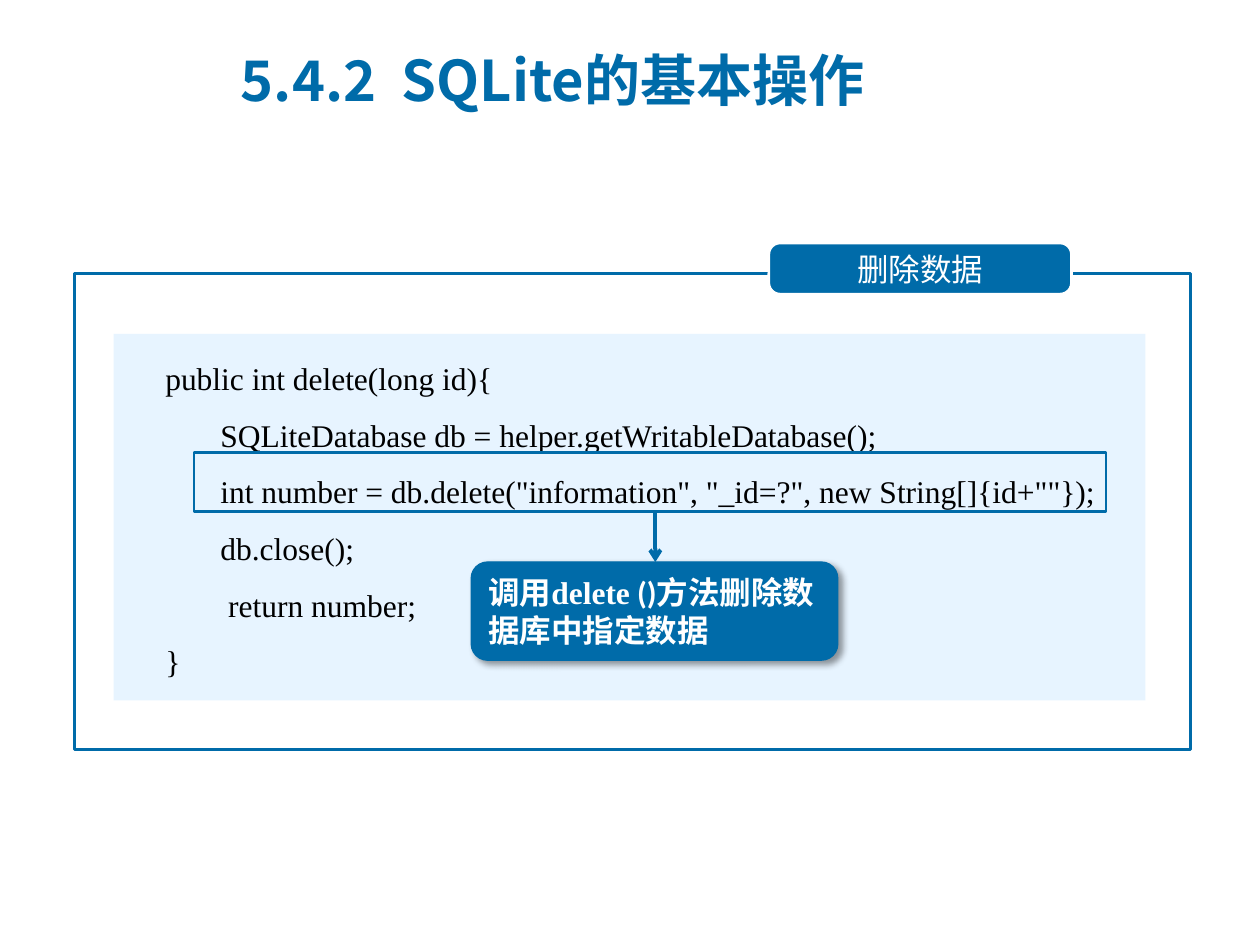
from lxml.etree import SubElement
from pptx import Presentation
from pptx.dml.color import RGBColor
from pptx.enum.shapes import MSO_CONNECTOR, MSO_SHAPE
from pptx.enum.text import MSO_ANCHOR, MSO_AUTO_SIZE, PP_ALIGN
from pptx.oxml.ns import qn
from pptx.util import Cm, Pt

BLUE = RGBColor(0x00, 0x6B, 0xA9)
PALE_BLUE = RGBColor(0xE7, 0xF4, 0xFF)
WHITE = RGBColor(0xFF, 0xFF, 0xFF)
BLACK = RGBColor(0x00, 0x00, 0x00)

CHINESE_FONT = "Noto Sans CJK SC"
CODE_FONT = "Times New Roman"
CALLOUT_FONT = "Calibri"

CODE = """     public int delete(long id){
            SQLiteDatabase db = helper.getWritableDatabase();
            int number = db.delete("information", "_id=?", new String[]{id+""});
            db.close();
             return number;
     }"""


class SlideBuilder:
    body = {"size": Pt(18), "bold": False}
    strong = {"size": Pt(18), "bold": True}
    heading = {"size": Pt(32), "bold": True}

    def __init__(self, slide):
        self.slide = slide

    def apply(self, target, values):
        for name, value in values.items():
            setattr(target, name, value)

    def fill_text(self, shape, paragraphs, style, color, frame_format, paragraph_format):
        frame = shape.text_frame
        self.apply(frame, {"word_wrap": True, "auto_size": MSO_AUTO_SIZE.NONE, **frame_format})
        for index, runs in enumerate(paragraphs):
            paragraph = frame.paragraphs[0] if index == 0 else frame.add_paragraph()
            self.apply(paragraph, paragraph_format)
            for text, font_name in runs:
                run = paragraph.add_run()
                run.text = text
                self.apply(run.font, {**style, "name": font_name})
                run.font.color.rgb = color
                east_asian = SubElement(run.font._element, qn("a:ea"))
                east_asian.set("typeface", CHINESE_FONT)

    def title(self, text, left, top, width, height):
        title = self.slide.shapes.title
        self.apply(title, {"left": Cm(left), "top": Cm(top), "width": Cm(width), "height": Cm(height)})
        self.fill_text(title, [[(text, CHINESE_FONT)]], self.heading, BLUE,
                       {"vertical_anchor": MSO_ANCHOR.MIDDLE}, {"alignment": PP_ALIGN.LEFT})

    def box(self, left, top, width, height, fill=None, line=None, line_width=1.5,
            kind=MSO_SHAPE.RECTANGLE):
        shape = self.slide.shapes.add_shape(kind, Cm(left), Cm(top), Cm(width), Cm(height))
        shape.shadow.inherit = False
        if fill is None:
            shape.fill.background()
        else:
            shape.fill.solid()
            shape.fill.fore_color.rgb = fill
        if line is None:
            shape.line.fill.background()
        else:
            shape.line.color.rgb = line
            shape.line.width = Pt(line_width)
        return shape

    def tab(self, text, left, top, width, height):
        shape = self.box(left, top, width, height, BLUE, WHITE, kind=MSO_SHAPE.ROUNDED_RECTANGLE)
        shape.adjustments[0] = 0.22
        self.fill_text(shape, [[(text, CHINESE_FONT)]], self.body, WHITE,
                       {"vertical_anchor": MSO_ANCHOR.MIDDLE, "margin_top": 0, "margin_bottom": 0},
                       {"alignment": PP_ALIGN.CENTER})

    def code(self, text, left, top, width, height):
        shape = self.box(left, top, width, height, PALE_BLUE)
        lines = [[(line, CODE_FONT)] for line in text.splitlines()]
        self.fill_text(shape, lines, self.body, BLACK, {"vertical_anchor": MSO_ANCHOR.TOP},
                       {"alignment": PP_ALIGN.LEFT, "line_spacing": 1.5})

    def callout(self, runs, left, top, width, height):
        shape = self.box(left, top, width, height, BLUE, BLUE, 0.75, MSO_SHAPE.ROUNDED_RECTANGLE)
        effects = shape._element.spPr.find(qn("a:effectLst"))
        shadow = SubElement(effects, qn("a:outerShdw"), blurRad=str(Pt(4)), dist=str(Pt(3)),
                            dir="2700000", algn="tl", rotWithShape="0")
        shadow_color = SubElement(shadow, qn("a:srgbClr"), val=str(BLACK))
        SubElement(shadow_color, qn("a:alpha"), val="40000")
        self.fill_text(shape, [runs], self.strong, WHITE, {"vertical_anchor": MSO_ANCHOR.MIDDLE},
                       {"alignment": PP_ALIGN.LEFT})

    def arrow(self, x, top, bottom):
        connector = self.slide.shapes.add_connector(
            MSO_CONNECTOR.STRAIGHT, Cm(x), Cm(top), Cm(x), Cm(bottom))
        connector.line.color.rgb = BLUE
        connector.line.width = Pt(2.25)
        properties = connector._element.spPr
        SubElement(properties.find(qn("a:ln")), qn("a:tailEnd"), type="arrow")
        SubElement(properties, qn("a:effectLst"))


def main():
    presentation = Presentation()
    presentation.slide_width = Cm(25.4)
    presentation.slide_height = Cm(19.05)
    builder = SlideBuilder(presentation.slides.add_slide(presentation.slide_layouts[5]))

    builder.title("5.4.2  SQLite的基本操作", 4.6, 0.53, 14.3, 2.13)
    builder.box(1.5, 5.51, 22.5, 9.6, line=BLUE)
    builder.tab("删除数据", 15.5, 4.9, 6.1, 1.03)
    builder.code(CODE, 2.29, 6.73, 20.8, 7.39)
    builder.box(3.91, 9.12, 18.39, 1.19, line=BLUE)
    builder.callout([("调用", CALLOUT_FONT), ("delete", CODE_FONT),
                     (" ()方法删除数据库中指定数据", CALLOUT_FONT)], 9.5, 11.33, 7.39, 1.98)
    builder.arrow(13.21, 10.31, 11.33)

    presentation.save("out.pptx")


if __name__ == "__main__":
    main()
